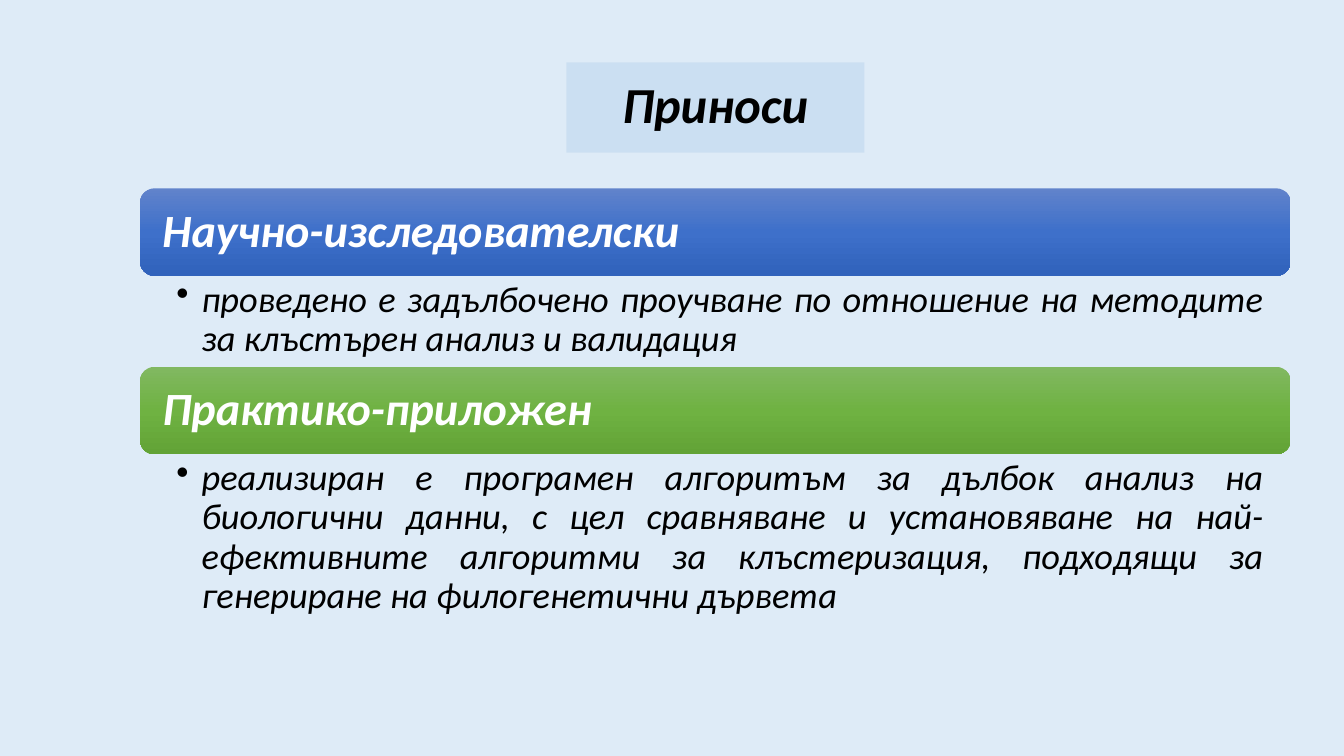
from copy import deepcopy

from lxml import etree
from pptx import Presentation
from pptx.dml.color import RGBColor
from pptx.enum.shapes import MSO_SHAPE
from pptx.enum.text import MSO_ANCHOR, PP_ALIGN
from pptx.oxml.ns import qn
from pptx.util import Pt

ROUNDED = MSO_SHAPE.ROUNDED_RECTANGLE
MIDDLE, TOP = MSO_ANCHOR.MIDDLE, MSO_ANCHOR.TOP
LEFT, CENTER, JUSTIFY = PP_ALIGN.LEFT, PP_ALIGN.CENTER, PP_ALIGN.JUSTIFY

FONT = "Calibri"
BACKGROUND = "DEEBF7"
TITLE = "Приноси"
CONTRIBUTIONS = [
    {
        "heading": "Научно-изследователски",
        "gradient": ("6183CB", "3E70CA", "3062BB"),
        "detail": "проведено е задълбочено проучване по отношение на методите "
                  "за клъстърен анализ и валидация",
        "detail_height": 65,
    },
    {
        "heading": "Практико-приложен",
        "gradient": ("81B861", "6FB242", "62A336"),
        "detail": "реализиран е програмен алгоритъм за дълбок анализ на "
                  "биологични данни, с цел сравняване и установяване на "
                  "най-ефективните алгоритми за клъстеризация, подходящи за "
                  "генериране на филогенетични дървета",
        "detail_height": 121,
    },
]
LIST_LEFT, LIST_TOP, LIST_WIDTH = 100, 134.5, 822
HEADING_HEIGHT = 62.5


def rgb(value):
    return RGBColor.from_string(value)


def write(shape, text, size, color, align, anchor, insets, bold=False):
    frame = shape.text_frame
    frame.word_wrap = True
    frame.vertical_anchor = anchor
    frame.margin_left, frame.margin_top, frame.margin_right, frame.margin_bottom = map(Pt, insets)
    frame.text = text
    paragraph = frame.paragraphs[0]
    paragraph.alignment = align
    paragraph.line_spacing = 0.9
    font = paragraph.font
    font.name, font.size = FONT, Pt(size)
    font.bold, font.italic = bold, True
    font.color.rgb = rgb(color)
    return paragraph


def fill_gradient(shape, colors):
    shape.fill.gradient()
    shape.fill.gradient_angle = 270
    stop_list = shape.element.spPr.find(qn("a:gradFill")).find(qn("a:gsLst"))
    stop_list.append(deepcopy(stop_list[-1]))
    for index, (stop, color) in enumerate(zip(shape.fill.gradient_stops, colors)):
        stop.position = index / (len(colors) - 1)
        stop.color.rgb = rgb(color)


def add_bullet(paragraph):
    properties = paragraph._p.get_or_add_pPr()
    properties.set("marL", str(Pt(18)))
    properties.set("indent", str(Pt(-18)))
    bullet = etree.Element(qn("a:buChar"), char="•")
    properties.find(qn("a:defRPr")).addprevious(bullet)


def add_heading(slide, text, colors, top):
    bar = slide.shapes.add_shape(ROUNDED, Pt(LIST_LEFT), Pt(top), Pt(LIST_WIDTH), Pt(HEADING_HEIGHT))
    bar.shadow.inherit = False
    bar.line.fill.background()
    fill_gradient(bar, colors)
    write(bar, text, 33, "FFFFFF", LEFT, MIDDLE, (13, 10, 13, 10), bold=True)


def add_detail(slide, text, top, height):
    box = slide.shapes.add_textbox(Pt(LIST_LEFT), Pt(top), Pt(LIST_WIDTH), Pt(height))
    paragraph = write(box, text, 26, "000000", JUSTIFY, TOP, (26, 3.5, 18.5, 3.5))
    paragraph.level = 1
    add_bullet(paragraph)


def add_title(slide):
    title = slide.shapes.title
    title.left, title.top, title.width, title.height = Pt(404.5), Pt(44.5), Pt(213), Pt(64.5)
    title.fill.solid()
    title.fill.fore_color.rgb = rgb("5B9BD5")
    color = title.element.spPr.find(qn("a:solidFill"))[0]
    etree.SubElement(color, qn("a:alpha"), val="14000")
    write(title, TITLE, 36, "000000", CENTER, MIDDLE, (7, 3.5, 7, 3.5), bold=True)


def main():
    deck = Presentation()
    deck.slide_width, deck.slide_height = Pt(960), Pt(540)
    slide = deck.slides.add_slide(deck.slide_layouts[5])
    slide.background.fill.solid()
    slide.background.fill.fore_color.rgb = rgb(BACKGROUND)
    add_title(slide)
    top = LIST_TOP
    for contribution in CONTRIBUTIONS:
        add_heading(slide, contribution["heading"], contribution["gradient"], top)
        top += HEADING_HEIGHT
        add_detail(slide, contribution["detail"], top, contribution["detail_height"])
        top += contribution["detail_height"]
    deck.save("out.pptx")


if __name__ == "__main__":
    main()
